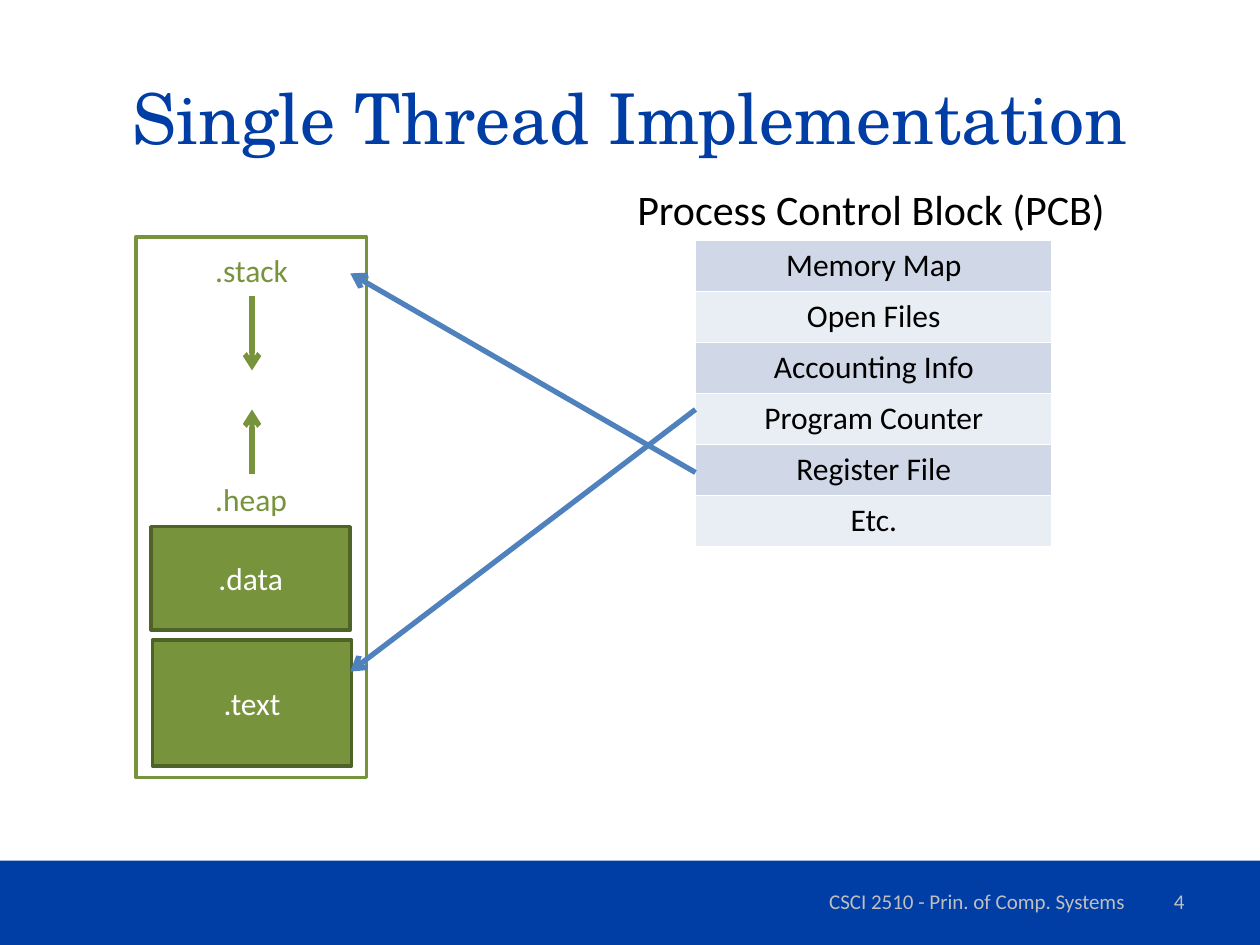
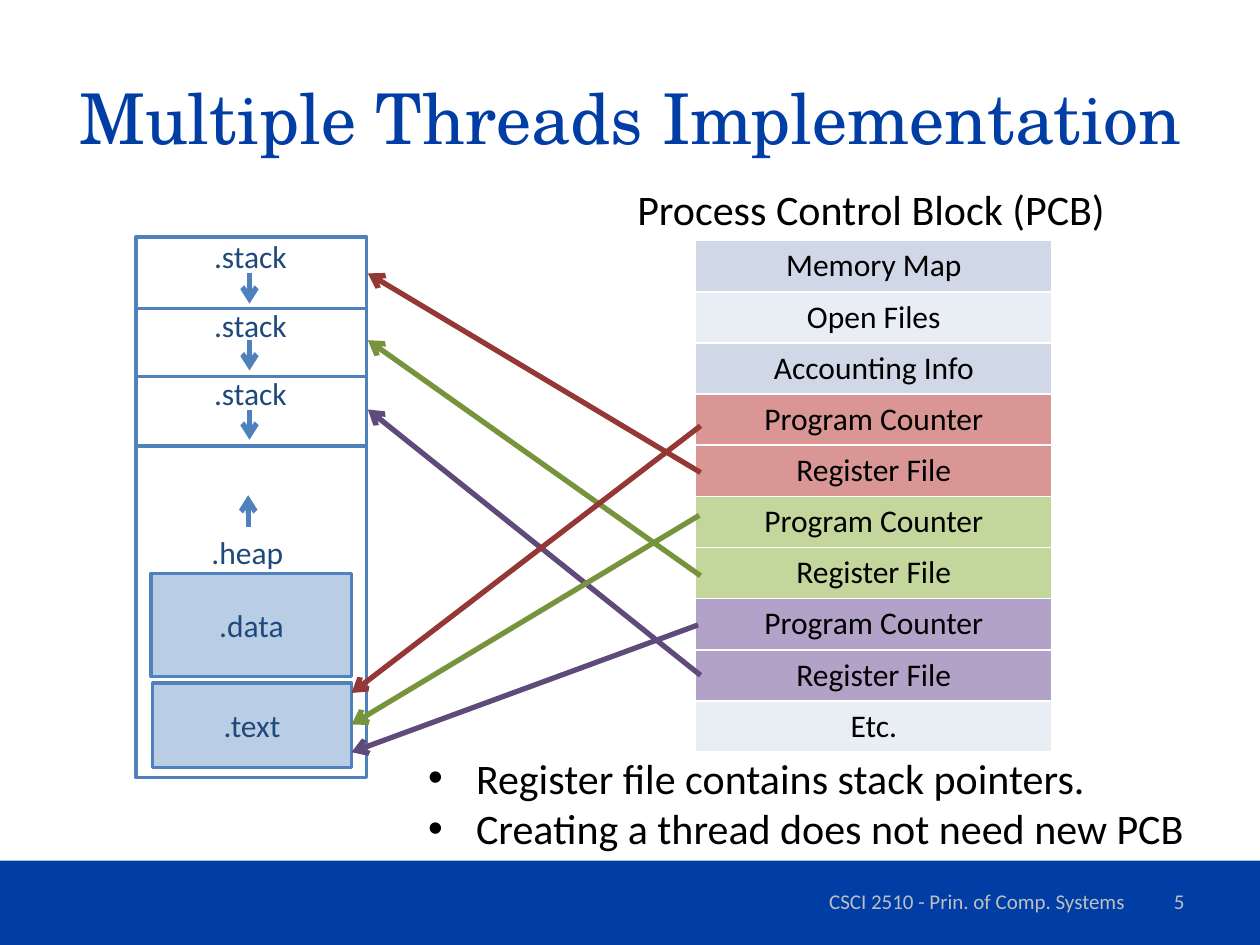
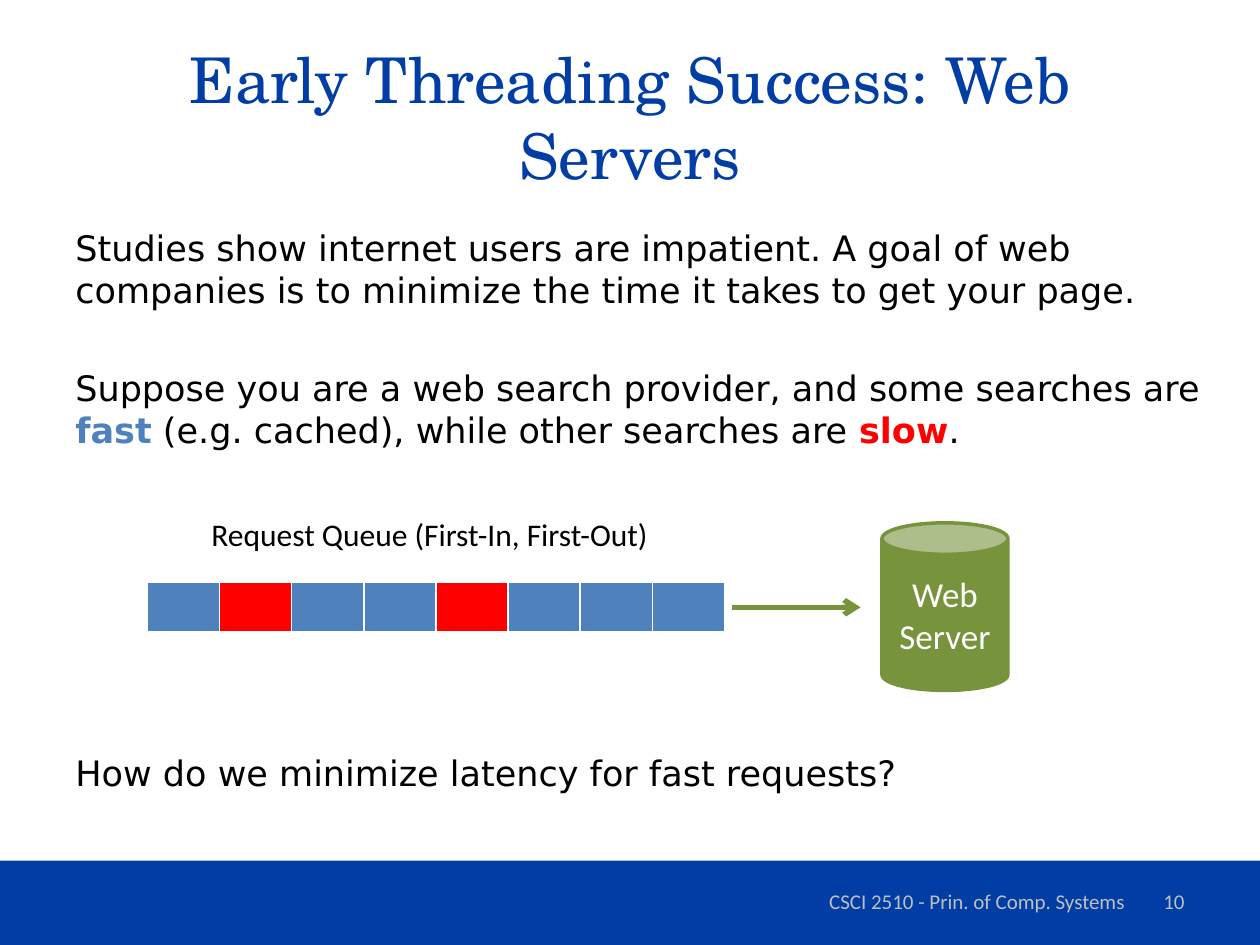
"""Builds three slides on thread implementation and web server queues."""
import pptx
import pptx.util
import pptx.dml.color
import pptx.enum.shapes
import pptx.enum.text
import pptx.oxml.ns
import lxml.etree

Inches = pptx.util.Inches
Pt = pptx.util.Pt
ALIGN = pptx.enum.text.PP_ALIGN
ANCHOR = pptx.enum.text.MSO_ANCHOR
SHAPE = pptx.enum.shapes.MSO_SHAPE

BRAND, WHITE, BLACK, GREY = "003DA5", "FFFFFF", "000000", "BFBFBF"
BLUE, NAVY, PALE_BLUE = "4F81BD", "1F497D", "B9CDE5"
GREEN, DARK_GREEN, RED = "77933C", "4F6228", "FF0000"
MAROON, PURPLE = "953735", "604A7B"
ROW_DARK, ROW_LIGHT = "D0D8E8", "E9EDF4"
SERIF, SANS, BODY = "TeX Gyre Schola", "Calibri", "DejaVu Sans"
COURSE = "CSCI 2510 - Prin. of Comp. Systems"

COMMON_ROWS = [("Memory Map", ROW_DARK), ("Open Files", ROW_LIGHT), ("Accounting Info", ROW_DARK)]
LAST_ROW = ("Etc.", ROW_LIGHT)
THREAD_PARTS = ("Program Counter", "Register File")
SINGLE_ROWS = COMMON_ROWS + list(zip(THREAD_PARTS, (ROW_LIGHT, ROW_DARK))) + [LAST_ROW]
THREAD_FILLS = ("D99694", "C3D69B", "B3A2C7")
MULTIPLE_ROWS = COMMON_ROWS + [(part, fill) for fill in THREAD_FILLS for part in THREAD_PARTS] + [LAST_ROW]

SINGLE_POINTERS = [((5.52, 3.75), (2.78, 2.17), BLUE), ((5.52, 3.25), (2.78, 5.33), BLUE)]
MULTIPLE_POINTERS = [
    ((5.56, 3.75), (2.92, 2.17), MAROON),
    ((5.56, 4.57), (2.92, 2.7), GREEN),
    ((5.56, 5.36), (2.92, 3.25), PURPLE),
    ((5.56, 3.38), (2.79, 5.5), MAROON),
    ((5.55, 4.09), (2.79, 5.75), GREEN),
    ((5.54, 4.96), (2.79, 5.97), PURPLE),
]
STACKS = [(1.83, 2.17, 2.45), (2.38, 2.7, 2.99), (2.92, 3.25, 3.54)]
NOTES = ["Register file contains stack pointers.", "Creating a thread does not need new PCB"]

STORY = [
    (0, [("Studies show internet users are impatient. A goal of web companies is "
          "to minimize the time it takes to get your page.", BLACK)]),
    (32, [("Suppose you are a web search provider, and some searches are ", BLACK),
          ("fast", BLUE), (" (e.g. cached), while other searches are ", BLACK),
          ("slow", RED), (".", BLACK)]),
    (172, [("How do we minimize latency for fast requests?", BLACK)]),
]
QUEUE = [BLUE, RED, BLUE, BLUE, RED, BLUE, BLUE, BLUE]


def colour(value):
    return pptx.dml.color.RGBColor.from_string(value)


def add_element(parent, tag, **attributes):
    element = lxml.etree.SubElement(parent, pptx.oxml.ns.qn(tag))
    for name, value in attributes.items():
        element.set(name, str(value))
    return element


def add_span(para, text, size, color, font=SANS, bold=False):
    span = para.add_run()
    span.text = text
    span.font.size = Pt(size)
    span.font.name = font
    span.font.bold = bold
    span.font.color.rgb = colour(color)


def write(frame, lines, size, color, font=SANS, align=ALIGN.LEFT, bullet=False):
    for number, line in enumerate(lines):
        para = frame.paragraphs[0] if number == 0 else frame.add_paragraph()
        para.alignment = align
        if bullet:
            properties = para._p.get_or_add_pPr()
            properties.set("marL", str(Inches(0.38)))
            properties.set("indent", str(-Inches(0.38)))
            add_element(properties, "a:buFont", typeface="Arial")
            add_element(properties, "a:buChar", char="•")
        add_span(para, line, size, color, font)


def add_text(page, place, lines, size, color, font=SANS, align=ALIGN.LEFT,
             anchor=ANCHOR.TOP, wrap=False, bullet=False):
    box = page.shapes.add_textbox(*map(Inches, place))
    box.text_frame.word_wrap = wrap
    box.text_frame.vertical_anchor = anchor
    write(box.text_frame, lines, size, color, font, align, bullet)
    return box


def add_block(page, place, fill=None, line=None, lines=(), color=WHITE, size=18, kind=SHAPE.RECTANGLE):
    block = page.shapes.add_shape(kind, *map(Inches, place))
    block.shadow.inherit = False
    if fill:
        block.fill.solid()
        block.fill.fore_color.rgb = colour(fill)
    else:
        block.fill.background()
    if line:
        block.line.color.rgb = colour(line)
        block.line.width = Pt(2)
    else:
        block.line.fill.background()
    block.text_frame.vertical_anchor = ANCHOR.MIDDLE
    write(block.text_frame, lines, size, color, align=ALIGN.CENTER)


def add_line(page, start, end, color, width=3, arrow=True):
    line = page.shapes.add_connector(
        pptx.enum.shapes.MSO_CONNECTOR.STRAIGHT, *map(Inches, start + end))
    line.line.color.rgb = colour(color)
    line.line.width = Pt(width)
    if arrow:
        add_element(line.line._ln, "a:tailEnd", type="arrow")
    add_element(line._element.spPr, "a:effectLst")


def add_grid(page, place, rows, columns):
    table = page.shapes.add_table(rows, columns, *map(Inches, place)).table
    table.first_row = table.horz_banding = False
    return table


def fill_cell(cell, fill, bottom=1):
    properties = cell._tc.get_or_add_tcPr()
    for side, width in (("L", 1), ("R", 1), ("T", 1), ("B", bottom)):
        border = add_element(properties, "a:ln" + side, w=Pt(width))
        add_element(add_element(border, "a:solidFill"), "a:srgbClr", val=WHITE)
    cell.fill.solid()
    cell.fill.fore_color.rgb = colour(fill)


def add_page(deck, title, number, title_size=40):
    page = deck.slides.add_slide(deck.slide_layouts[6])
    add_block(page, (0, 6.83, 10, 0.67), BRAND)
    add_text(page, (0.5, 0.3, 9, 1.25), [title], title_size, BRAND, SERIF, ALIGN.CENTER, ANCHOR.MIDDLE, True)
    for place, text, align in (((6.17, 6.95, 3.17, 0.4), COURSE, ALIGN.CENTER),
                               ((7.17, 6.95, 2.33, 0.4), str(number), ALIGN.RIGHT)):
        add_text(page, place, [text], 12, GREY, SANS, align, ANCHOR.MIDDLE, True)
    return page


def add_memory_label(page, left, top, text, color):
    add_text(page, (left, top, 0.78, 0.4), [text], 18, color)


def add_control_block(page, rows, height, pointers):
    add_text(page, (4.96, 1.41, 3.94, 0.5), ["Process Control Block (PCB)"], 24, BLACK)
    table = add_grid(page, (5.52, 1.91, 2.83, height), len(rows), 1)
    for number, (text, fill) in enumerate(rows):
        cell = table.cell(number, 0)
        fill_cell(cell, fill)
        write(cell.text_frame, [text], 18, BLACK, align=ALIGN.CENTER)
    for start, end, color in pointers:
        add_line(page, start, end, color)


def build_single(deck):
    page = add_page(deck, "Single Thread Implementation", 4)
    add_block(page, (1.08, 1.88, 1.83, 4.29), line=GREEN)
    add_memory_label(page, 1.61, 3.76, ".heap", GREEN)
    add_memory_label(page, 1.61, 1.94, ".stack", GREEN)
    add_line(page, (2, 3.76), (2, 3.25), GREEN)
    add_line(page, (2, 2.35), (2, 2.94), GREEN)
    add_block(page, (1.21, 5.08, 1.58, 1), GREEN, DARK_GREEN, [".text"])
    add_block(page, (1.2, 4.18, 1.58, 0.82), GREEN, DARK_GREEN, [".data"])
    add_control_block(page, SINGLE_ROWS, 2.43, SINGLE_POINTERS)


def build_multiple(deck):
    page = add_page(deck, "Multiple Threads Implementation", 5)
    add_block(page, (1.08, 1.88, 1.83, 4.29), line=BLUE)
    add_memory_label(page, 1.58, 4.18, ".heap", NAVY)
    add_line(page, (1.97, 4.18), (1.97, 3.93), BLUE)
    add_block(page, (1.21, 5.42, 1.58, 0.67), PALE_BLUE, BLUE, [".text"], NAVY)
    add_block(page, (1.2, 4.55, 1.59, 0.82), PALE_BLUE, BLUE, [".data"], NAVY)
    for label_top, arrow_top, divider in STACKS:
        add_memory_label(page, 1.6, label_top, ".stack", NAVY)
        add_line(page, (1.98, arrow_top), (1.98, arrow_top + 0.24), BLUE)
        add_line(page, (1.08, divider), (2.92, divider), BLUE, 2, False)
    add_control_block(page, MULTIPLE_ROWS, 4.06, MULTIPLE_POINTERS)
    add_text(page, (3.3, 5.92, 6.25, 0.91), NOTES, 24, BLACK, bullet=True)


def build_servers(deck):
    page = add_page(deck, "Early Threading Success: Web Servers", 10, 36)
    frame = add_text(page, (0.5, 1.75, 9.17, 4.95), [], 20, BLACK, wrap=True).text_frame
    for number, (gap, spans) in enumerate(STORY):
        para = frame.add_paragraph() if number else frame.paragraphs[0]
        if gap:
            para.space_before = Pt(gap)
        for text, color in spans:
            add_span(para, text, 20, color, BODY, color != BLACK)
    table = add_grid(page, (1.17, 4.62, 4.58, 0.41), 1, len(QUEUE))
    for column, fill in enumerate(QUEUE):
        fill_cell(table.cell(0, column), fill, 3)
    add_text(page, (1.58, 4.04, 3.72, 0.4), ["Request Queue (First-In, First-Out)"], 18, BLACK)
    add_line(page, (5.81, 4.82), (6.83, 4.82), GREEN)
    add_block(page, (7, 4.15, 1, 1.33), GREEN, GREEN, ["Web", "Server"], size=20, kind=SHAPE.CAN)


def main():
    deck = pptx.Presentation()
    deck.slide_width, deck.slide_height = Inches(10), Inches(7.5)
    build_single(deck)
    build_multiple(deck)
    build_servers(deck)
    deck.save("out.pptx")


if __name__ == "__main__":
    main()
